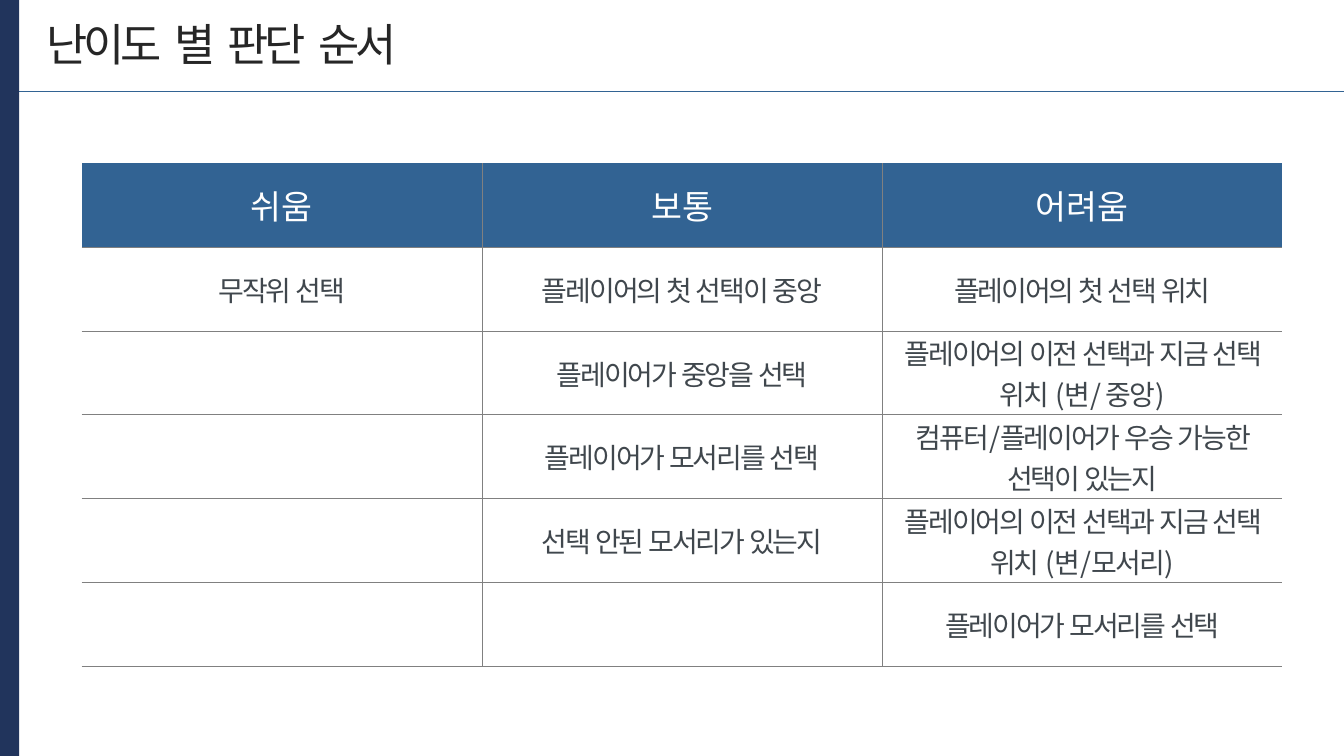
from lxml.etree import SubElement
from pptx import Presentation
from pptx.dml.color import RGBColor
from pptx.enum.lang import MSO_LANGUAGE_ID as Language
from pptx.enum.shapes import MSO_CONNECTOR as Connector, MSO_SHAPE as Shape
from pptx.enum.text import MSO_ANCHOR as Anchor, MSO_AUTO_SIZE as AutoSize, PP_ALIGN as Align
from pptx.oxml.ns import qn
from pptx.util import Inches, Pt

FONT = "Noto Sans CJK KR"
NAVY, BLUE, GRAY, WHITE = "21345C", "326393", "808080", "FFFFFF"
TITLE_INK, BODY_INK = "262626", "40474D"
TITLE = "난이도  별  판단  순서"
LEVELS = ["쉬움", "보통", "어려움"]
STEPS = [
    ["무작위 선택", "플레이어의 첫 선택이 중앙", "플레이어의 첫 선택 위치"],
    ["", "플레이어가 중앙을 선택", "플레이어의 이전 선택과 지금 선택 위치 (변/ 중앙)"],
    ["", "플레이어가 모서리를 선택", "컴퓨터/플레이어가 우승 가능한 선택이 있는지"],
    ["", "선택 안된 모서리가 있는지", "플레이어의 이전 선택과 지금 선택 위치 (변/모서리)"],
    ["", "", "플레이어가 모서리를 선택"],
]


def color(code):
    return RGBColor.from_string(code)


def add_text(para, text, size, ink, spacing=0):
    span = para.add_run()
    span.text = text
    span.font.size = Pt(size)
    span.font.name = FONT
    span.font.color.rgb = color(ink)
    span.font.language_id = Language.KOREAN
    props = span.font._element
    props.set("spc", str(int(spacing * 100)))
    SubElement(props, qn("a:ea"), typeface=FONT)


def add_side_bar(page):
    bar = page.shapes.add_shape(Shape.RECTANGLE, 0, 0, Inches(0.19), Inches(7.5))
    bar.shadow.inherit = False
    bar.fill.solid()
    bar.fill.fore_color.rgb = color(NAVY)
    bar.line.fill.background()


def add_rule(page):
    y = Inches(0.91)
    rule = page.shapes.add_connector(Connector.STRAIGHT, Inches(0.19), y, Inches(13.33), y)
    rule.line.color.rgb = color(BLUE)
    rule.line.width = Pt(0.5)
    SubElement(rule._element.spPr, qn("a:effectLst"))


def add_title(page):
    box = page.shapes.add_textbox(Inches(0.36), Inches(0.12), Inches(3.81), Inches(0.64))
    frame = box.text_frame
    frame.word_wrap = False
    frame.auto_size = AutoSize.SHAPE_TO_FIT_TEXT
    add_text(frame.paragraphs[0], TITLE, 32, TITLE_INK, -3)


def set_borders(cell, visible):
    props = cell._tc.get_or_add_tcPr()
    for side in "LRTB":
        line = SubElement(props, qn(f"a:ln{side}"), w=str(Pt(0.5)))
        if side in visible:
            fill = SubElement(line, qn("a:solidFill"))
            SubElement(fill, qn("a:srgbClr"), val=GRAY)
        else:
            SubElement(line, qn("a:noFill"))


def fill_cell(cell, text, fill, visible, **style):
    cell.margin_top = cell.margin_bottom = 0
    cell.vertical_anchor = Anchor.MIDDLE
    set_borders(cell, visible)
    cell.fill.solid()
    cell.fill.fore_color.rgb = color(fill)
    para = cell.text_frame.paragraphs[0]
    para.alignment = Align.CENTER
    if text:
        add_text(para, text, **style)


def add_level_table(page):
    rows = [LEVELS] + STEPS
    frame = page.shapes.add_table(len(rows), len(LEVELS), Inches(0.81), Inches(1.62),
                                  Inches(11.91), Inches(4.99))
    table = frame.table
    table.horz_banding = False
    for r, texts in enumerate(rows):
        for c, text in enumerate(texts):
            visible = "B"
            if r > 0:
                visible += "T"
            if c > 0:
                visible += "L"
            if c < len(LEVELS) - 1:
                visible += "R"
            if r == 0:
                fill_cell(table.cell(r, c), text, BLUE, visible, size=24, ink=WHITE)
            else:
                fill_cell(table.cell(r, c), text, WHITE, visible,
                          size=20, ink=BODY_INK, spacing=-1.5)


def main():
    deck = Presentation()
    deck.slide_width, deck.slide_height = Inches(13.33), Inches(7.5)
    page = deck.slides.add_slide(deck.slide_layouts[6])
    add_rule(page)
    add_side_bar(page)
    add_title(page)
    add_level_table(page)
    deck.save("out.pptx")


main()
